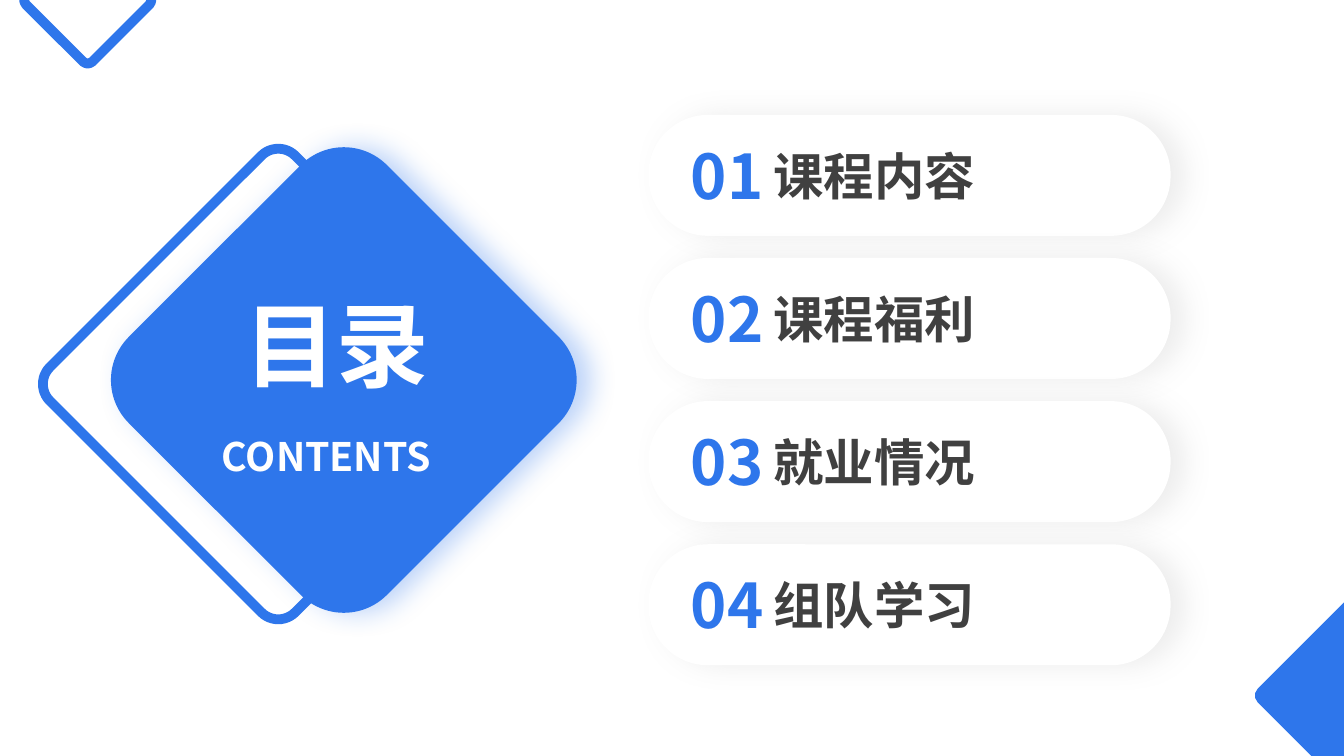
"""Build a contents slide with a diamond title and four numbered pills."""
from lxml import etree
from pptx import Presentation
from pptx.dml.color import RGBColor
from pptx.enum.shapes import MSO_SHAPE as SHAPE
from pptx.enum.text import MSO_ANCHOR as ANCHOR, MSO_AUTO_SIZE as AUTO, PP_ALIGN as ALIGN
from pptx.oxml.ns import qn
from pptx.util import Inches, Pt

TITLE, SUBTITLE = "目录", "CONTENTS"
CHAPTERS = ["课程内容", "课程福利", "就业情况", "组队学习"]
FONT = "Noto Sans CJK SC"
BLUE, WHITE, DARK, GREY = "2E76EB", "FFFFFF", "404040", "A6A6A6"

WIDTH, HEIGHT = 13.33, 7.5
PILL_CENTER, FIRST_ROW, ROW_PITCH = 9.02, 1.74, 1.42
PILL_LENGTH, PILL_HEIGHT = 5.18, 1.2
NUMBER_LEFT, LABEL_LEFT = 6.8, 7.62

OUTLINE_DIAMOND = (2.76, 3.81, 3.44)
TITLE_DIAMOND = (3.41, 3.77, 3.62)
CORNER_DIAMOND = (13.41, 6.9, 1.42)
TOP_DIAMOND = (0.87, 0, 0.93)


def color(value):
    return RGBColor.from_string(value)


def add_shadow(sp, value, alpha):
    effects = sp._element.spPr.find(qn("a:effectLst"))
    shadow = etree.SubElement(effects, qn("a:outerShdw"), blurRad=str(Pt(20)),
                              dist=str(Pt(10)), dir="0", algn="l", rotWithShape="0")
    clr = etree.SubElement(shadow, qn("a:srgbClr"), val=value)
    etree.SubElement(clr, qn("a:alpha"), val=str(alpha * 1000))


def add_round(slide, cx, cy, w, h, angle, adj, fill=None, line=None):
    sp = slide.shapes.add_shape(SHAPE.ROUNDED_RECTANGLE, Inches(cx - w / 2),
                                Inches(cy - h / 2), Inches(w), Inches(h))
    sp.rotation = angle
    sp.adjustments[0] = adj
    sp.shadow.inherit = False
    if fill:
        sp.fill.solid()
        sp.fill.fore_color.rgb = color(fill)
    else:
        sp.fill.background()
    if line:
        sp.line.color.rgb = color(line)
        sp.line.width = Pt(7)
    else:
        sp.line.fill.background()
    return sp


def add_diamond(slide, place, adj=0.069, fill=None, line=None):
    cx, cy, side = place
    return add_round(slide, cx, cy, side, side, 45, adj, fill, line)


def write(sp, box, text, size, value, align=ALIGN.LEFT):
    sp.left, sp.top, sp.width, sp.height = map(Inches, box)
    tf = sp.text_frame
    tf.word_wrap = True
    tf.auto_size = AUTO.SHAPE_TO_FIT_TEXT
    tf.vertical_anchor = ANCHOR.TOP
    tf.margin_left = tf.margin_right = tf.margin_top = tf.margin_bottom = Inches(0.05)
    p = tf.paragraphs[0]
    p.alignment = align
    r = p.add_run()
    r.text = text
    r.font.size, r.font.bold, r.font.name = Pt(size), True, FONT
    r.font.color.rgb = color(value)
    etree.SubElement(r.font._element, qn("a:ea"), typeface=FONT)


def add_text(slide, box, *style):
    write(slide.shapes.add_textbox(*map(Inches, box)), box, *style)


def add_chapter(slide, index, label):
    cy = FIRST_ROW + index * ROW_PITCH
    pill = add_round(slide, PILL_CENTER, cy, PILL_HEIGHT, PILL_LENGTH, 90, 0.493, WHITE)
    add_shadow(pill, GREY, 20)
    add_text(slide, (LABEL_LEFT, cy - 0.35, 3.42, 0.79), label, 36, DARK)
    add_text(slide, (NUMBER_LEFT, cy - 0.42, 0.88, 0.84), f"{index + 1:02}", 44, BLUE)


def main():
    prs = Presentation()
    prs.slide_width, prs.slide_height = Inches(WIDTH), Inches(HEIGHT)
    slide = prs.slides.add_slide(prs.slide_layouts[5])
    slide.background.fill.solid()
    slide.background.fill.fore_color.rgb = color(WHITE)

    add_diamond(slide, OUTLINE_DIAMOND, line=BLUE)
    for index, label in enumerate(CHAPTERS):
        add_chapter(slide, index, label)

    add_shadow(add_diamond(slide, TITLE_DIAMOND, 0.167, fill=BLUE), BLUE, 32)
    add_text(slide, (2.15, 4.24, 2.52, 0.57), SUBTITLE, 28, WHITE, ALIGN.JUSTIFY)
    title = slide.shapes.title
    write(title, (2.37, 2.81, 2.08, 1.38), TITLE, 66, WHITE, ALIGN.JUSTIFY)
    slide.shapes._spTree.append(title._element)

    add_diamond(slide, CORNER_DIAMOND, fill=BLUE)
    add_diamond(slide, TOP_DIAMOND, line=BLUE)
    prs.save("out.pptx")


if __name__ == "__main__":
    main()
